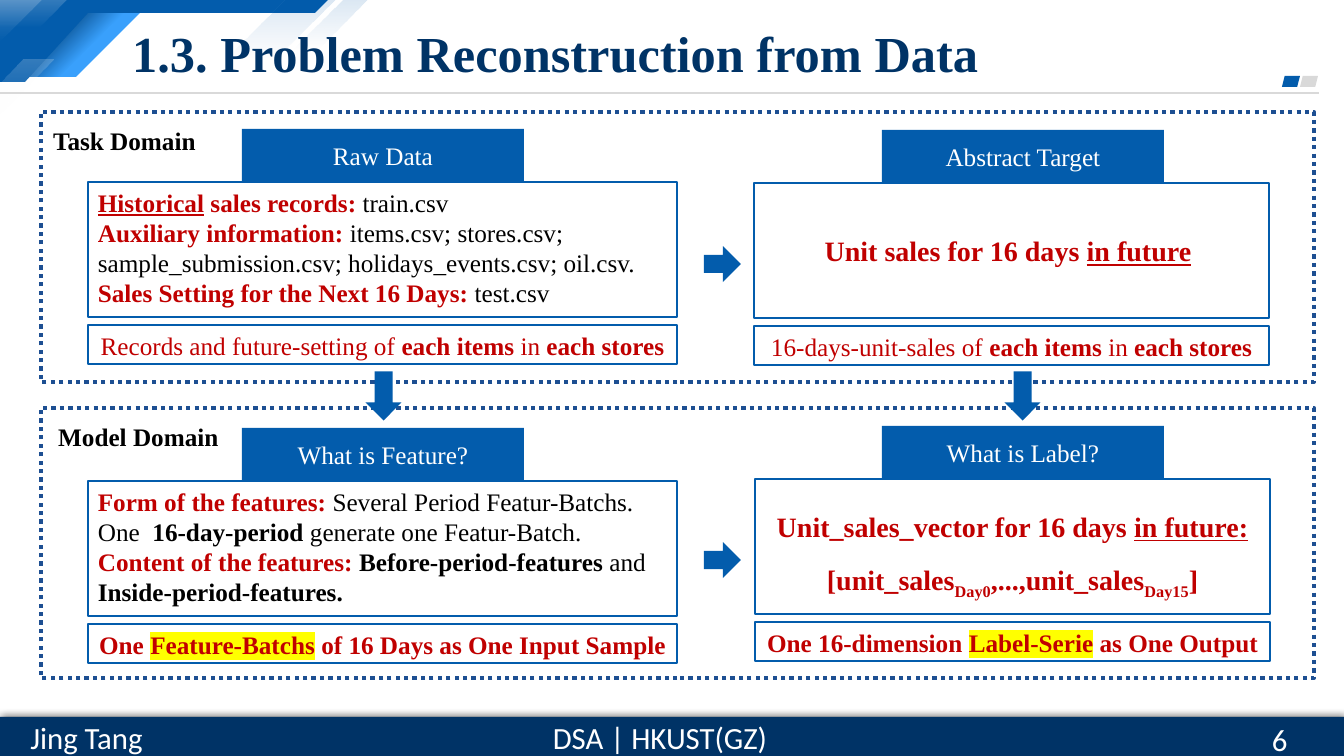
from pptx import Presentation, util as u
from pptx.dml.color import RGBColor
from pptx.enum import dml, shapes, text
from pptx.oxml import parse_xml
from pptx.oxml.ns import nsdecls, qn

PX = 914400 / 100.8
COLORS = {
    "white": "FFFFFF", "black": "000000", "navy": "003366", "blue": "035CAC",
    "deep": "024581", "sky": "39A0FC", "gray": "D9D9D9", "red": "C00000",
    "dots": "1D4F92", "yellow": "FFFF00",
}
SERIF = "Times New Roman"
MIDDLE, TOP = text.MSO_ANCHOR.MIDDLE, text.MSO_ANCHOR.TOP
CENTER, LEFT = text.PP_ALIGN.CENTER, text.PP_ALIGN.LEFT
SHAPE = shapes.MSO_SHAPE


def px(*values):
    return [u.Emu(round(value * PX)) for value in values]


def rgb(name):
    return RGBColor.from_string(COLORS[name])


def paint(shape, fill=None, line=None, width=1, dotted=False):
    shape.shadow.inherit = False
    if fill:
        shape.fill.solid()
        shape.fill.fore_color.rgb = rgb(fill)
    else:
        shape.fill.background()
    if line:
        shape.line.color.rgb = rgb(line)
        shape.line.width = u.Pt(width)
        if dotted:
            shape.line.dash_style = dml.MSO_LINE.ROUND_DOT
    else:
        shape.line.fill.background()


def fade(shape, color, alpha, angle=90, start=0, end=100):
    """Fill the shape with one colour that fades to transparent."""
    stops = "".join(
        f'<a:gs pos="{place * 1000}"><a:srgbClr val="{COLORS[color]}">'
        f'<a:alpha val="{opacity * 1000}"/></a:srgbClr></a:gs>'
        for place, opacity in ((start, alpha), (end, 0)))
    properties = shape._element.spPr
    properties.replace(properties.find(qn("a:noFill")), parse_xml(
        f'<a:gradFill {nsdecls("a")}><a:gsLst>{stops}</a:gsLst>'
        f'<a:lin ang="{angle * 60000}" scaled="0"/></a:gradFill>'))


def add_box(page, place, kind=SHAPE.RECTANGLE, **look):
    box = page.shapes.add_shape(kind, *px(*place))
    paint(box, **look)
    return box


def add_outline(page, points, fill=None):
    builder = page.shapes.build_freeform(*points[0], scale=PX)
    builder.add_line_segments(points[1:], close=True)
    outline = builder.convert_to_shape()
    paint(outline, fill)
    return outline


def write(box, content, size=18, font=SERIF, color="black", bold=False,
          align=CENTER, anchor=MIDDLE, spacing=None):
    """Write a string, or paragraphs of (words, marks) spans.

    Marks: b bold, u underlined, r red, h highlighted, s subscript.
    """
    paragraphs = [[(content, "")]] if isinstance(content, str) else content
    frame = box.text_frame
    frame.word_wrap = True
    frame.vertical_anchor = anchor
    for index, spans in enumerate(paragraphs):
        para = frame.add_paragraph() if index else frame.paragraphs[0]
        para.alignment = align
        if spacing:
            para.line_spacing = spacing
        for words, marks in spans:
            span = para.add_run()
            span.text = words
            span.font.size = u.Pt(size)
            span.font.name = font
            span.font.bold = bold or "b" in marks
            span.font.underline = "u" in marks
            span.font.color.rgb = rgb("red" if "r" in marks else color)
            properties = span.font._element
            if "s" in marks:
                properties.set("baseline", "-25000")
            if "h" in marks:
                properties.find(qn("a:solidFill")).addnext(parse_xml(
                    f'<a:highlight {nsdecls("a")}><a:srgbClr '
                    f'val="{COLORS["yellow"]}"/></a:highlight>'))


def add_label(page, place, words, **style):
    write(page.shapes.add_textbox(*px(*place)), words, **style)


def add_card(page, left, top, width, tab_left, heading, body, summary, **style):
    """Add a heading tab, a framed body and a framed summary strip."""
    tab = add_box(page, (tab_left, top, 282, 53), fill="blue")
    write(tab, heading, color="white")
    frame = add_box(page, (left, top + 53, width, 135), fill="white", line="blue")
    write(frame, body, **style)
    strip = add_box(page, (left, top + 196, width, 39), fill="white", line="blue")
    write(strip, [summary], anchor=TOP)


def add_arrow(page, left, top, width, turn=0):
    arrow = add_box(page, (left, top, width, 36), SHAPE.RIGHT_ARROW, fill="blue")
    arrow.rotation = turn


def add_header(page):
    wing = [(85, 7), (146, 7), (76, 77), (16, 77)]
    add_outline(page, wing, "sky")
    fade(add_outline(page, wing), "deep", 100, angle=45, start=29, end=57)
    add_outline(page, [(0, 0), (328, 0), (315, 13), (88, 13), (25, 82), (0, 82)], "blue")
    for color, alpha, points in (
        ("white", 20, [(0, 0), (42, 0), (0, 42)]),
        ("white", 20, [(0, 0), (67, 0), (39, 28), (0, 28)]),
        ("blue", 15, [(286, 0), (336, 0), (274, 61), (224, 61)]),
        ("blue", 15, [(343, 0), (367, 0), (318, 49), (293, 49)]),
        ("white", 20, [(23, 60), (53, 60), (0, 114), (0, 84)]),
    ):
        fade(add_outline(page, points), color, alpha)

    rule = page.shapes.add_connector(shapes.MSO_CONNECTOR.STRAIGHT, *px(0, 93, 1319, 93))
    rule.line.color.rgb = rgb("gray")
    rule.line.width = u.Pt(1.5)
    rule._element.spPr.append(parse_xml(f'<a:effectLst {nsdecls("a")}/>'))
    for left, color in ((1300, "gray"), (1282, "blue")):
        add_box(page, (left, 76, 18, 11), SHAPE.PARALLELOGRAM, fill=color)

    title = page.shapes.title
    title.left, title.top, title.width, title.height = px(122, 17, 1029, 70)
    write(title, "1.3. Problem Reconstruction from Data", size=36,
          color="navy", bold=True, align=LEFT)


def add_footer(page):
    bar = add_box(page, (0, 717, 1344, 39), fill="navy")
    effects = bar._element.spPr.find(qn("a:effectLst"))
    effects.append(parse_xml(
        f'<a:outerShdw {nsdecls("a")} blurRad="57150" dist="19050" dir="16200000">'
        f'<a:srgbClr val="{COLORS["black"]}"><a:alpha val="63000"/></a:srgbClr>'
        '</a:outerShdw>'))
    for place, words, align in (
        ((540, 714, 240, 47), "DSA | HKUST(GZ)", CENTER),
        ((16, 714, 141, 47), "Jing Tang", CENTER),
        ((1262, 719, 82, 40), "6", LEFT),
    ):
        add_label(page, place, words, size=22, font="Calibri", color="white", align=align)


def add_domains(page):
    for top, width, name in ((112, 173, "Task Domain "), (408, 201, "Model Domain ")):
        add_box(page, (41, top, 1273, 270), line="dots", width=3, dotted=True)
        add_label(page, (41, top + 1, width, 54), name, bold=True)


def add_cards(page):
    add_card(page, 88, 129, 589, 242, "Raw Data", [
        [("Historical", "bur"), (" sales records: ", "br"), ("train.csv", "")],
        [("Auxiliary information: ", "br"),
         ("items.csv; stores.csv; sample_submission.csv; holidays_events.csv; oil.csv.", "")],
        [("Sales Setting for the Next 16 Days: ", "br"), ("test.csv", "")],
    ], [("Records and future-setting of ", "r"), ("each items", "br"),
        (" in", "r"), (" each stores", "br")], align=LEFT, anchor=TOP)
    add_card(page, 754, 130, 515, 882, "Abstract Target", [
        [("Unit sales for 16 days ", "br"), ("in future", "bur"), (" ", "b")],
    ], [("16-days-unit-sales of ", "r"), ("each items", "br"),
        (" in ", "r"), ("each stores", "br")], size=20)
    add_card(page, 88, 428, 589, 242, "What is Feature?", [
        [("Form of the features: ", "br"), ("Several Period Featur-Batchs. One ", ""),
         (" 16-day-period ", "b"), ("generate one Featur-Batch. ", ""),
         ("Content of the features: ", "br"), ("Before-period-features ", "b"),
         ("and ", ""), ("Inside-period-features.", "b")],
    ], [("One ", "br"), ("Feature-Batchs", "brh"),
        (" of 16 Days as One Input Sample", "br")], align=LEFT, anchor=TOP)
    add_card(page, 755, 426, 515, 882, "What is Label?", [
        [("Unit_sales_vector for 16 days ", "br"), ("in future:", "bur")],
        [("[unit_sales", "br"), ("Day0", "brs"), (",...,unit_sales", "br"),
         ("Day15", "brs"), ("]", "br")],
    ], [("One 16-dimension ", "br"), ("Label-Serie", "brh"), (" as One Output", "br")],
        size=20, spacing=1.5)


def main():
    deck = Presentation()
    deck.slide_width, deck.slide_height = px(1344, 756)
    page = deck.slides.add_slide(deck.slide_layouts[5])
    add_header(page)
    add_footer(page)
    add_domains(page)
    add_cards(page)
    for top in (246, 542):
        add_arrow(page, 704, top, 37)
    for left in (359, 998):
        add_arrow(page, left, 378, 49, turn=90)
    deck.save("out.pptx")


if __name__ == "__main__":
    main()
